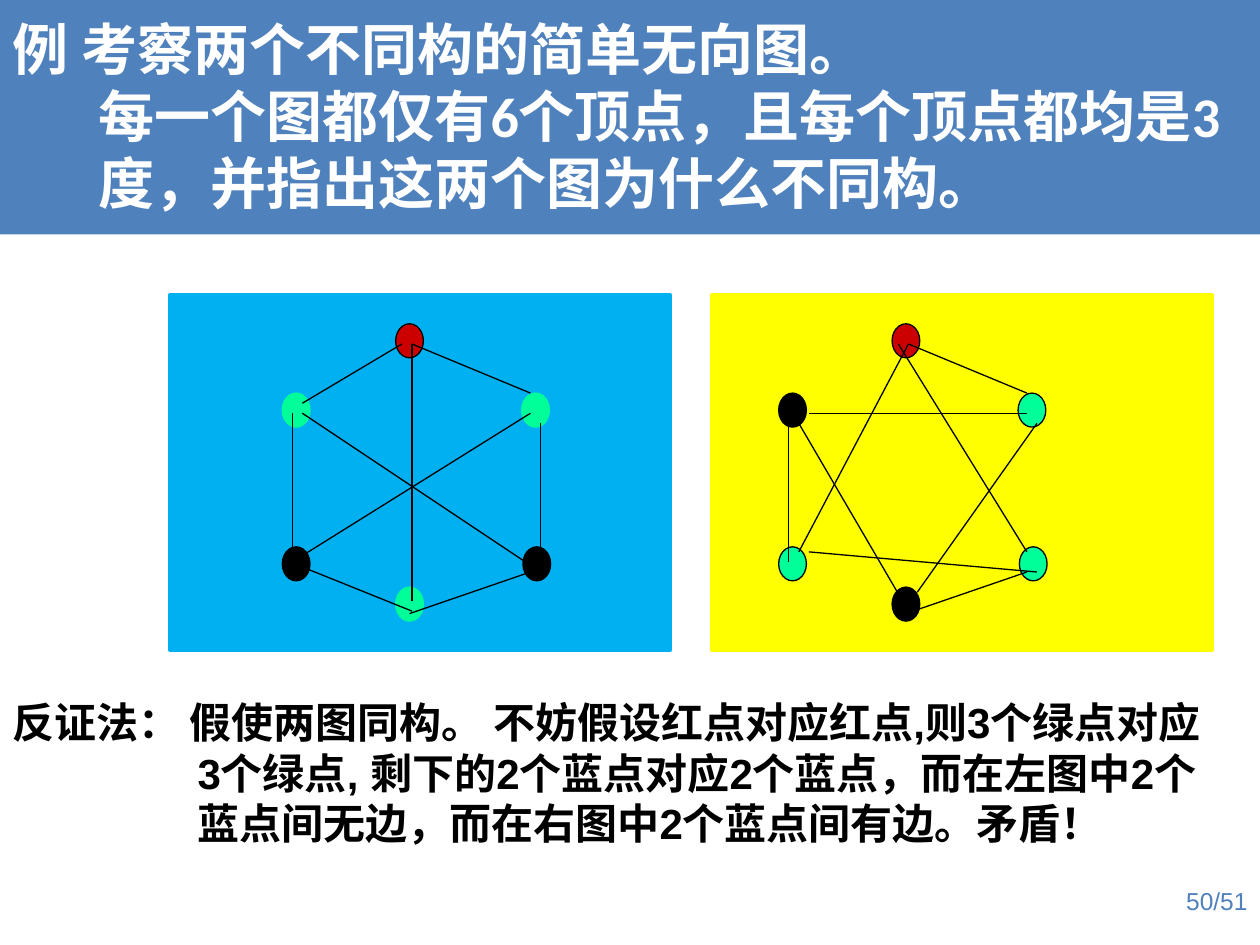
from lxml import etree
from pptx import Presentation
from pptx.dml.color import RGBColor
from pptx.enum.shapes import MSO_CONNECTOR, MSO_SHAPE
from pptx.enum.text import MSO_ANCHOR, PP_ALIGN
from pptx.oxml.ns import qn
from pptx.util import Inches, Pt

RECT, OVAL = MSO_SHAPE.RECTANGLE, MSO_SHAPE.OVAL
STRAIGHT = MSO_CONNECTOR.STRAIGHT
TOP, MIDDLE = MSO_ANCHOR.TOP, MSO_ANCHOR.MIDDLE
LEFT, RIGHT = PP_ALIGN.LEFT, PP_ALIGN.RIGHT

BLUE, BLACK, WHITE = "4F81BD", "000000", "FFFFFF"
RED, GREEN = "CC0000", "00FF99"

QUESTION = ["例 考察两个不同构的简单无向图。",
            "每一个图都仅有6个顶点，且每个顶点都均是3度，并指出这两个图为什么不同构。"]
PROOF = ["反证法： 假使两图同构。 不妨假设红点对应红点,则3个绿点对应3个绿点, "
         "剩下的2个蓝点对应2个蓝点，而在左图中2个蓝点间无边，而在右图中2个蓝点间有边。矛盾！"]
PAGE = ["50/51"]

# Both graphs share one layout; the second is moved right by its "shift".
VERTEX_SIZE = (0.22, 0.27)
VERTICES = {
    "upper left": (2.24, 3.12), "top": (3.14, 2.57), "upper right": (4.14, 3.12),
    "lower left": (2.24, 4.34), "bottom": (3.14, 4.66), "lower right": (4.15, 4.34),
}
PANEL_SIZE = (3.97, 2.82)
PANEL_TOP = 2.34
GRAPHS = [
    {"panel": (1.35, "00B0F0"), "shift": 0, "green outline": GREEN,
     "colors": [GREEN, RED, GREEN, BLACK, GREEN, BLACK],
     "edges": [((2.4, 3.28), (4.29, 4.54)), ((2.32, 3.28), (2.32, 4.46)),
               ((2.4, 3.2), (3.19, 2.73)), ((3.27, 4.85), (2.4, 4.5)),
               ((4.21, 3.12), (3.27, 2.73)), ((3.27, 2.73), (3.27, 4.77)),
               ((4.21, 3.28), (2.32, 4.46)), ((4.21, 4.54), (3.25, 4.87)),
               ((4.29, 3.36), (4.29, 4.46))]},
    {"panel": (5.65, "FFFF00"), "shift": 3.94, "green outline": BLACK,
     "colors": [BLACK, RED, GREEN, GREEN, BLACK, GREEN],
     "edges": [((2.48, 4.38), (4.29, 4.54)), ((2.32, 3.28), (2.32, 4.46)),
               ((4.21, 4.38), (3.19, 2.73)), ((3.27, 4.85), (2.4, 3.36)),
               ((4.21, 3.12), (3.27, 2.73)), ((3.27, 2.73), (2.4, 4.38)),
               ((4.21, 3.28), (2.48, 3.28)), ((4.21, 4.54), (3.25, 4.87)),
               ((4.29, 3.36), (3.34, 4.7))]},
]


def rgb(color):
    return RGBColor.from_string(color)


def add_filled(kind, left, top, size, fill, outline=None, weight=0.75):
    shape = slide.shapes.add_shape(kind, *map(Inches, (left, top, *size)))
    shape.shadow.inherit = False
    shape.fill.solid()
    shape.fill.fore_color.rgb = rgb(fill)
    if outline:
        shape.line.color.rgb = rgb(outline)
        shape.line.width = Pt(weight)
    else:
        shape.line.fill.background()
    return shape


def add_edge(start, end, shift):
    (x1, y1), (x2, y2) = start, end
    edge = slide.shapes.add_connector(
        STRAIGHT, *map(Inches, (x1 + shift, y1, x2 + shift, y2)))
    edge.line.color.rgb = rgb(BLACK)
    edge.line.width = Pt(0.75)
    etree.SubElement(edge._element.spPr, qn("a:effectLst"))


def write(shape, lines, size, font, color, bold=False, align=LEFT, anchor=TOP, hanging=0):
    """Write lines as one paragraph with line breaks and a hanging indent."""
    frame = shape.text_frame
    frame.word_wrap = True
    frame.vertical_anchor = anchor
    paragraph = frame.paragraphs[0]
    paragraph.alignment = align
    if hanging:
        properties = paragraph._p.get_or_add_pPr()
        properties.set("marL", str(Inches(hanging)))
        properties.set("indent", str(-Inches(hanging)))
    for index, line in enumerate(lines):
        if index:
            paragraph.add_line_break()
        run = paragraph.add_run()
        run.text = line
        run.font.size = Pt(size)
        run.font.name = font
        run.font.bold = bold
        run.font.color.rgb = rgb(color)


def add_text(left, top, width, height, lines, **style):
    box = slide.shapes.add_textbox(*map(Inches, (left, top, width, height)))
    write(box, lines, font="Arial", **style)


deck = Presentation()
deck.slide_width, deck.slide_height = Inches(10), Inches(7.5)
slide = deck.slides.add_slide(deck.slide_layouts[6])

banner = add_filled(RECT, 0, -0.03, (10, 1.89), BLUE)
write(banner, QUESTION, 32, "Calibri", WHITE, bold=True, anchor=MIDDLE, hanging=0.68)

for graph in GRAPHS:
    panel_left, panel_color = graph["panel"]
    add_filled(RECT, panel_left, PANEL_TOP, PANEL_SIZE, panel_color, panel_color, 2)
    for (x, y), color in zip(VERTICES.values(), graph["colors"]):
        outline = graph["green outline"] if color == GREEN else BLACK
        add_filled(OVAL, x + graph["shift"], y, VERTEX_SIZE, color, outline)
    for start, end in graph["edges"]:
        add_edge(start, end, graph["shift"])

add_text(0, 5.48, 9.73, 1.3, PROOF, size=24, color=BLACK, bold=True, hanging=1.47)
add_text(7.67, 6.98, 2.33, 0.52, PAGE, size=14, color=BLUE, align=RIGHT)

deck.save("out.pptx")
